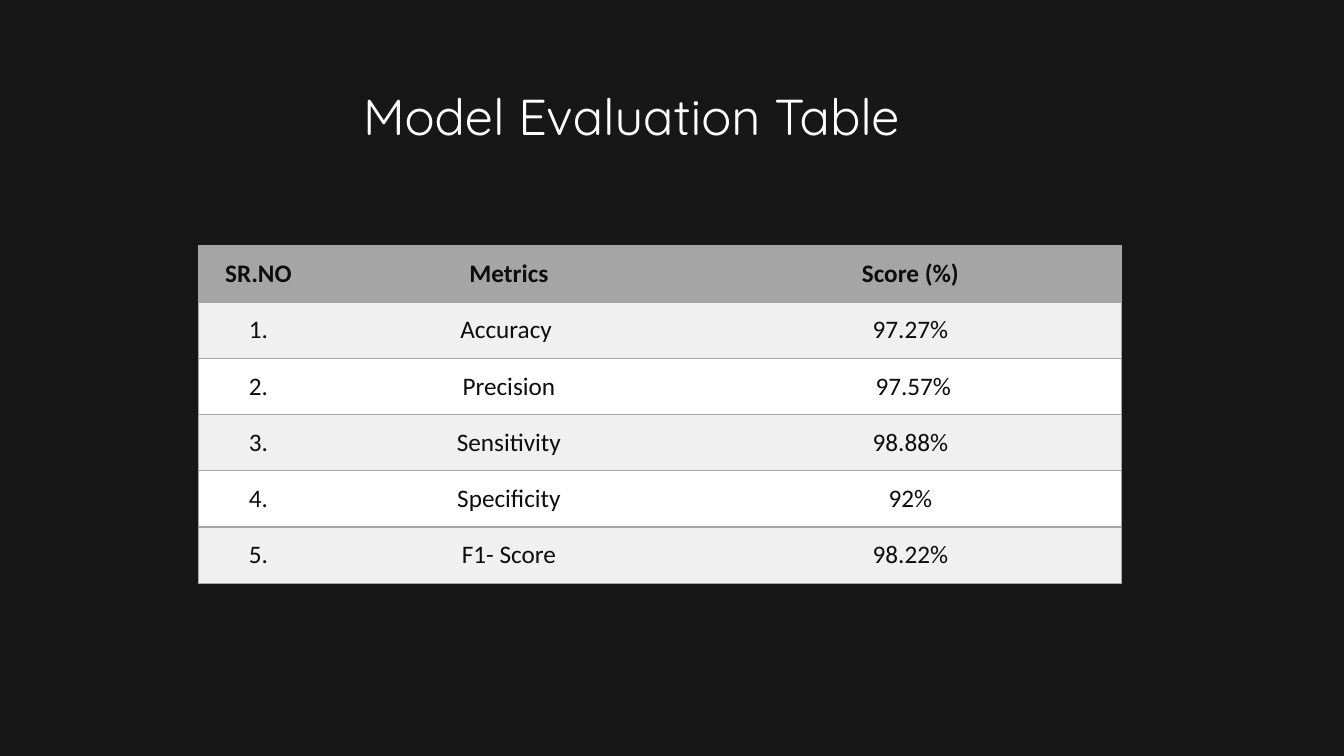
from lxml import etree
from pptx import Presentation
from pptx.dml.color import RGBColor
from pptx.enum import text
from pptx.oxml import ns
from pptx.util import Cm, Pt

BACKGROUND = RGBColor(0x18, 0x17, 0x17)
WHITE = RGBColor(0xFF, 0xFF, 0xFF)
INK = RGBColor(0x0D, 0x0D, 0x0D)
GREY = RGBColor(0xA5, 0xA5, 0xA5)
BAND = RGBColor(0xF0, 0xF0, 0xF0)

METRICS = [
    ("SR.NO", "Metrics", "Score (%)"),
    ("1.", "Accuracy ", "97.27%"),
    ("2.", "Precision", " 97.57%"),
    ("3.", "Sensitivity", "98.88%"),
    ("4.", "Specificity", "92%"),
    ("5.", "F1- Score", "98.22%"),
]
COLUMN_SHARES = (0.13, 0.413, 0.457)


def add_run(p, words, font, size, color, bold=False):
    r = p.add_run()
    r.text = words
    r.font.name = font
    r.font.size = Pt(size)
    r.font.bold = bold
    r.font.color.rgb = color


def add_title(slide, left, top, width, height):
    tf = slide.shapes.add_textbox(left, top, width, height).text_frame
    tf.word_wrap = True
    tf.auto_size = text.MSO_AUTO_SIZE.SHAPE_TO_FIT_TEXT
    add_run(tf.paragraphs[0], "Model Evaluation Table", "Quicksand", 36, WHITE)


def set_borders(cell, sides):
    """Draw grey lines on the given sides and none on the others."""
    tc_pr = cell._tc.get_or_add_tcPr()
    for i, side in enumerate("LRTB"):
        ln = etree.Element(ns.qn(f"a:ln{side}"), w=str(Pt(1)))
        if side in sides:
            fill = etree.SubElement(ln, ns.qn("a:solidFill"))
            etree.SubElement(fill, ns.qn("a:srgbClr"), val=str(GREY))
        else:
            etree.SubElement(ln, ns.qn("a:noFill"))
        tc_pr.insert(i, ln)


def add_metrics_table(slide, left, top, width, height):
    last = len(COLUMN_SHARES) - 1
    table = slide.shapes.add_table(
        len(METRICS), len(COLUMN_SHARES), left, top, width, height).table
    for column, share in zip(table.columns, COLUMN_SHARES):
        column.width = int(width * share)
    for i, row in enumerate(METRICS):
        for j, words in enumerate(row):
            cell = table.cell(i, j)
            cell.vertical_anchor = text.MSO_ANCHOR.MIDDLE
            cell.fill.solid()
            cell.fill.fore_color.rgb = GREY if i == 0 else BAND if i % 2 else WHITE
            set_borders(cell, "TB" + {0: "L", last: "R"}.get(j, ""))
            p = cell.text_frame.paragraphs[0]
            p.alignment = text.PP_ALIGN.CENTER
            add_run(p, words, "Calibri", 18, INK, bold=i == 0)


def main():
    prs = Presentation()
    prs.slide_width, prs.slide_height = Cm(33.87), Cm(19.05)
    slide = prs.slides.add_slide(prs.slide_layouts[6])
    slide.background.fill.solid()
    slide.background.fill.fore_color.rgb = BACKGROUND
    add_metrics_table(slide, Cm(5), Cm(6.2), Cm(23.26), Cm(8.5))
    add_title(slide, Cm(8.9), Cm(2.03), Cm(15.44), Cm(1.8))
    prs.save("out.pptx")


if __name__ == "__main__":
    main()
